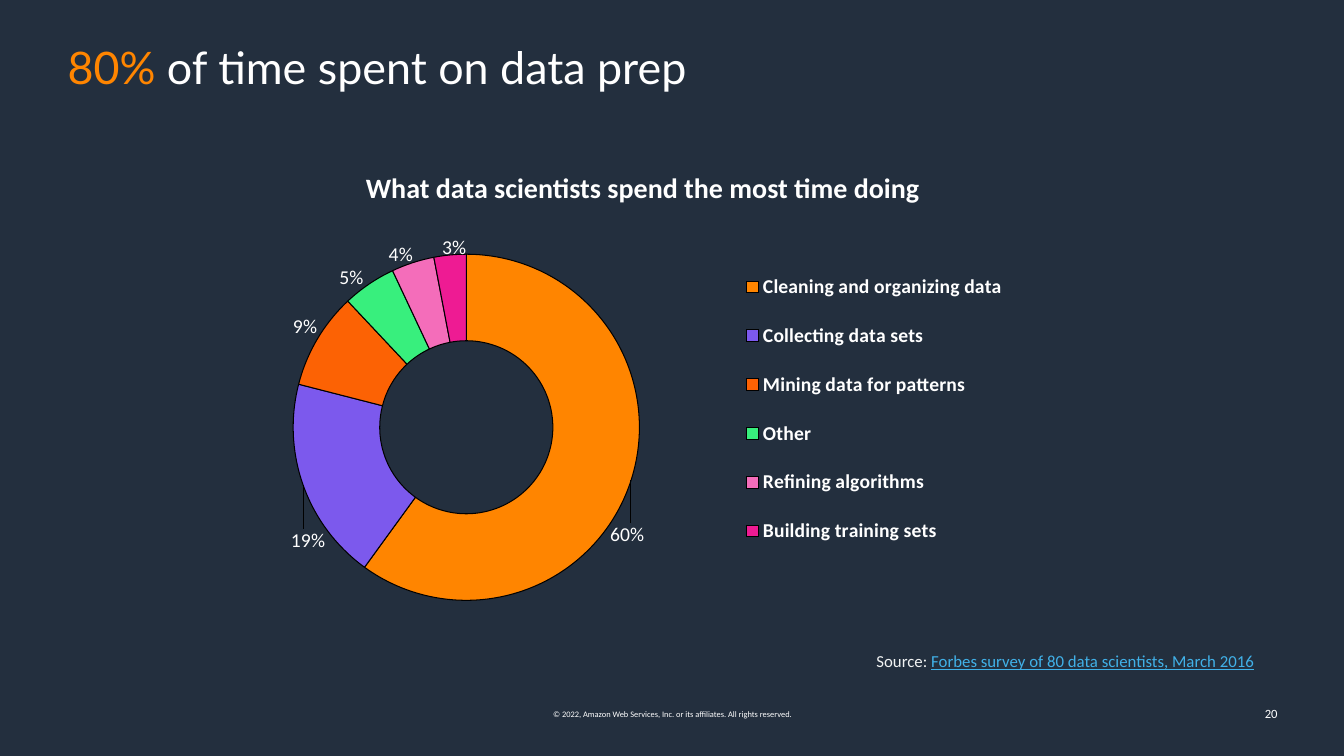
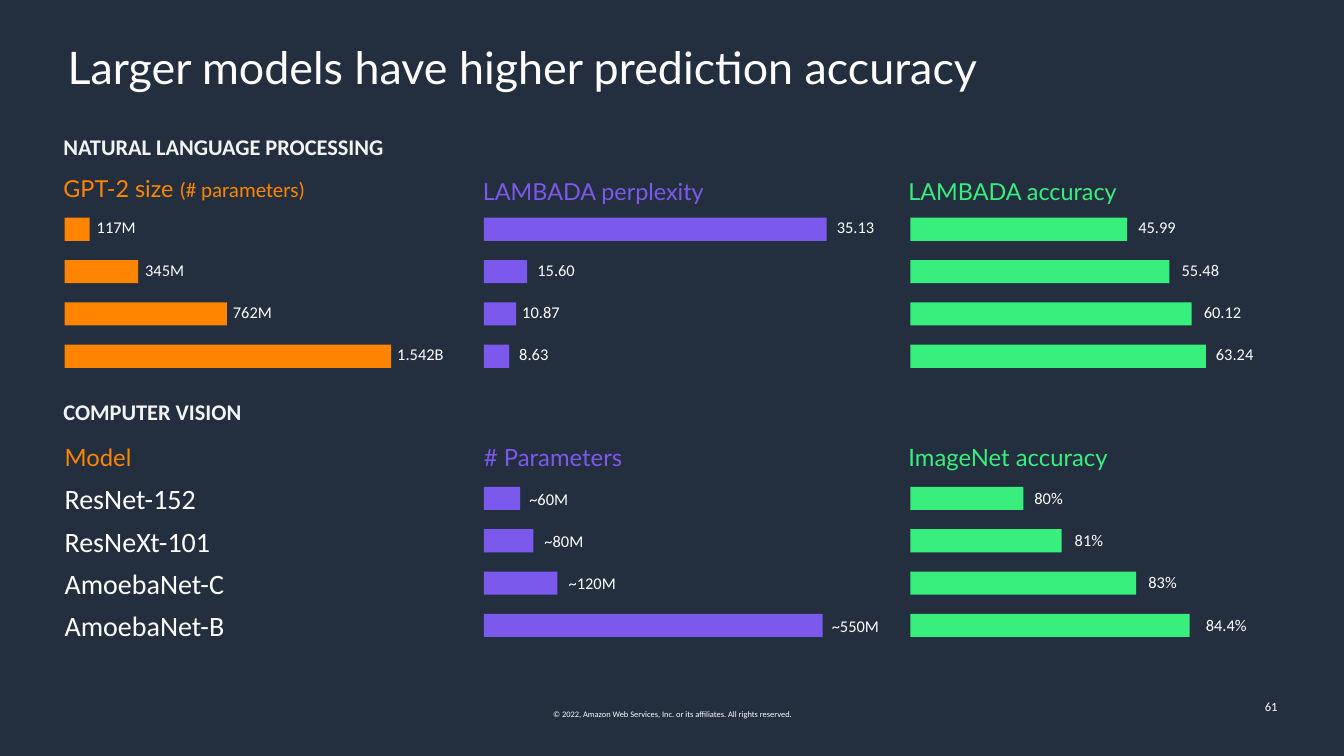
import math
from itertools import accumulate

from lxml import etree
from pptx import Presentation
from pptx.chart.data import CategoryChartData
from pptx.dml.color import RGBColor
from pptx.enum import chart as charts, shapes, text
from pptx.util import Inches, Pt

# Shared look
NAVY, WHITE, PALE = "232F3E", "FFFFFF", "F2F4F4"
ORANGE, PURPLE, GREEN, LINK = "FF8500", "7C59ED", "38EF7D", "41B1E8"
BODY, HEAD = "Calibri", "Lato"
LEFT, CENTER, RIGHT = text.PP_ALIGN.LEFT, text.PP_ALIGN.CENTER, text.PP_ALIGN.RIGHT
TOP, MIDDLE = text.MSO_ANCHOR.TOP, text.MSO_ANCHOR.MIDDLE
COPYRIGHT = "© 2022, Amazon Web Services, Inc. or its affiliates. All rights reserved."

TITLE = {"size": 32, "name": HEAD, "color": WHITE}
SECTION = {"size": 16, "color": PALE, "bold": True}
LABEL = {"size": 11.7, "color": WHITE}
SOURCE = {"size": 12, "color": "F1F3F3"}

# Slide 1 content: category, percent, colour, centre of its label in inches
TASKS = [
    ("Cleaning and organizing data", 60, ORANGE, (6.23, 5.31)),
    ("Collecting data sets", 19, PURPLE, (3.06, 5.37)),
    ("Mining data for patterns", 9, "FC6204", (3.03, 3.24)),
    ("Other", 5, GREEN, (3.49, 2.75)),
    ("Refining algorithms", 4, "F46DBA", (3.98, 2.53)),
    ("Building training sets", 3, "EE1B93", (4.51, 2.46)),
]
CHART_BOX = (2.58, 2.24, 8.18, 4.04)
PLOT_LAYOUT = {"x": 0.04, "y": 0.07, "w": 0.42, "h": 0.85}
LEGEND_LAYOUT = {"x": 0.58, "y": 0.06, "w": 0.33, "h": 0.78}
RING_CENTER, RING_MIDDLE = (4.63, 4.24), 1.29

# Slide 2 content
SECTIONS = [("NATURAL LANGUAGE PROCESSING", 1.3), ("COMPUTER VISION", 3.93)]
HEADINGS = [
    (0.46, 0.9, [("GPT-2 size ", ORANGE, HEAD, 16.7),
                 ("(# parameters)", ORANGE, BODY, 15)]),
    (4.62, 1, [("LAMBADA perplexity", PURPLE, HEAD, 16.7)]),
    (8.84, 1, [("LAMBADA accuracy", GREEN, HEAD, 16.7)]),
]
MODEL_HEADER = [("Model", ORANGE), ("# Parameters", PURPLE), ("ImageNet accuracy", GREEN)]
MODELS = ["ResNet-152", "ResNeXt-101", "AmoebaNet-C", "AmoebaNet-B"]
TABLE_COLUMNS = [4.16, 4.21, 4.03]
TABLE_ROWS = [0.4] + [0.42] * len(MODELS)

# Bar groups: left, top, colour, label drop, bars as (label, length, gap to label)
BAR_GROUPS = [
    (0.64, 2.16, ORANGE, 0.02, [("117M", 0.25, 0.07), ("345M", 0.73, 0.07),
                                ("762M", 1.61, 0.06), ("1.542B", 3.24, 0.06)]),
    (4.8, 2.16, PURPLE, 0.02, [("35.13", 3.4, 0.1), ("15.60", 0.43, 0.1),
                               ("10.87", 0.32, 0.06), ("8.63", 0.25, 0.1)]),
    (9.03, 2.16, GREEN, 0.02, [("45.99", 2.15, 0.11), ("55.48", 2.57, 0.12),
                               ("60.12", 2.79, 0.12), ("63.24", 2.93, 0.1)]),
    (4.8, 4.83, PURPLE, 0.04, [("~60M", 0.36, 0.09), ("~80M", 0.49, 0.11),
                               ("~120M", 0.73, 0.11), ("~550M", 3.36, 0.09)]),
    (9.03, 4.83, GREEN, 0.03, [("80%", 1.12, 0.11), ("81%", 1.5, 0.13),
                               ("83%", 2.24, 0.12), ("84.4%", 2.77, 0.16)]),
]
BAR_STEP, BAR_HEIGHT = 0.42, 0.23


def rgb(color):
    return RGBColor.from_string(color)


def set_font(font, style):
    for name, value in {"name": BODY, **style}.items():
        if name == "color":
            font.color.rgb = rgb(value)
        else:
            setattr(font, name, Pt(value) if name == "size" else value)


def fill_frame(frame, runs, margins, anchor=TOP, align=LEFT, spacing=1):
    """Write one paragraph of (text, style) runs."""
    frame.word_wrap = True
    frame.vertical_anchor = anchor
    for side, margin in zip(("left", "top", "right", "bottom"), margins):
        setattr(frame, f"margin_{side}", Inches(margin))
    paragraph = frame.paragraphs[0]
    paragraph.alignment, paragraph.line_spacing = align, spacing
    for words, style in runs:
        run = paragraph.add_run()
        run.text = words
        set_font(run.font, style)


def add_text(slide, box, runs, margins=(0.1, 0.05, 0.1, 0.05), **layout):
    shape = slide.shapes.add_textbox(*map(Inches, box))
    fill_frame(shape.text_frame, runs, margins, **layout)


def add_slide(presentation, title, number, number_anchor):
    """Start a slide with background, title, copyright line and number."""
    slide = presentation.slides.add_slide(presentation.slide_layouts[6])
    fill = slide.background.fill
    fill.solid()
    fill.fore_color.rgb = rgb(NAVY)
    add_text(slide, (0.67, 0.4, 12, 0.59), title, (0, 0.05, 0, 0.05), spacing=0.9)
    add_text(slide, (5.25, 6.99, 2.84, 0.2),
             [(COPYRIGHT, {"size": 6, "color": WHITE})], align=CENTER)
    add_text(slide, (9.77, 6.88, 3, 0.4), [(number, {"size": 9, "color": WHITE})],
             align=RIGHT, anchor=number_anchor)
    return slide


# Chart layout parts that need XML
def add_chart_tag(parent, tag, value=None):
    namespace = "http://schemas.openxmlformats.org/drawingml/2006/chart"
    element = etree.SubElement(parent, f"{{{namespace}}}{tag}")
    if value is not None:
        element.set("val", str(value))
    return element


def set_layout(parent, position, values, inner=False):
    for old in parent.xpath("c:layout"):
        parent.remove(old)
    layout = add_chart_tag(parent, "layout")
    manual = add_chart_tag(layout, "manualLayout")
    if inner:
        add_chart_tag(manual, "layoutTarget", "inner")
    for axis in "xy":
        add_chart_tag(manual, f"{axis}Mode", "edge")
    for name, value in values.items():
        add_chart_tag(manual, name, value)
    parent.insert(position, layout)


def place_labels(labels):
    """Shift each label from the middle of its ring segment to its own place."""
    values = [task[1] for task in TASKS]
    for index, (end, task) in enumerate(zip(accumulate(values), TASKS)):
        angle = math.tau * (end - task[1] / 2) / sum(values)
        start = (RING_CENTER[0] + RING_MIDDLE * math.sin(angle),
                 RING_CENTER[1] - RING_MIDDLE * math.cos(angle))
        label = add_chart_tag(labels, "dLbl")
        add_chart_tag(label, "idx", index)
        manual = add_chart_tag(add_chart_tag(label, "layout"), "manualLayout")
        for axis, goal, origin, extent in zip("xy", task[3], start, CHART_BOX[2:]):
            add_chart_tag(manual, axis, round((goal - origin) / extent, 4))
        for part in ("LegendKey", "Val", "CatName", "SerName", "Percent", "BubbleSize"):
            add_chart_tag(label, f"show{part}", int(part == "Percent"))
        labels.insert(index, label)


def add_doughnut(slide):
    data = CategoryChartData()
    data.categories = [task[0] for task in TASKS]
    data.add_series("Series 1", [task[1] for task in TASKS])
    chart = slide.shapes.add_chart(
        charts.XL_CHART_TYPE.DOUGHNUT, *map(Inches, CHART_BOX), data).chart
    set_font(chart.font, {"size": 10, "color": WHITE})
    chart.has_title = False
    chart.has_legend = True
    legend = chart.legend
    legend.position = charts.XL_LEGEND_POSITION.RIGHT
    legend.include_in_layout = False
    set_font(legend.font, {"size": 14, "color": WHITE, "bold": True})
    set_layout(legend._element, 1, LEGEND_LAYOUT)

    plot = chart.plots[0]
    plot.vary_by_categories = True
    set_layout(plot._element.getparent(), 0, PLOT_LAYOUT, inner=True)
    for hole in plot._element.xpath("c:holeSize"):
        hole.set("val", "57")
    series = plot.series[0]
    for index, task in enumerate(TASKS):
        style = series.points[index].format
        style.fill.solid()
        style.fill.fore_color.rgb = rgb(task[2])
        style.line.color.rgb = rgb("000000")
        style.line.width = Pt(0.75)
    labels = series.data_labels
    labels.show_value, labels.show_percentage = False, True
    labels.number_format, labels.number_format_is_linked = "0%", False
    set_font(labels.font, {"size": 14, "color": WHITE})
    place_labels(labels._element)


def add_model_table(slide):
    frame = slide.shapes.add_table(
        len(TABLE_ROWS), len(TABLE_COLUMNS), Inches(0.64), Inches(4.35),
        Inches(sum(TABLE_COLUMNS)), Inches(sum(TABLE_ROWS)))
    table = frame.table
    table.first_row = table.horz_banding = False
    # Style without fills or grid lines
    for style in table._tbl.xpath(".//a:tableStyleId"):
        style.text = "{2D5ABB26-0587-4C30-8999-92F81FD0307C}"
    for column, width in zip(table.columns, TABLE_COLUMNS):
        column.width = Inches(width)
    for row, height in zip(table.rows, TABLE_ROWS):
        row.height = Inches(height)
    for cell in table.iter_cells():
        cell.fill.background()

    def write(row, column, words, style, bottom):
        cell = table.cell(row, column)
        cell.vertical_anchor = MIDDLE
        for side, margin in zip(("left", "top", "right", "bottom"),
                                (0, 0.04, 0.08, bottom)):
            setattr(cell, f"margin_{side}", Inches(margin))
        run = cell.text_frame.paragraphs[0].add_run()
        run.text = words
        set_font(run.font, style)

    for column, (words, color) in enumerate(MODEL_HEADER):
        write(0, column, words, {"size": 17, "name": HEAD, "color": color}, 0.08)
    for row, model in enumerate(MODELS, 1):
        write(row, 0, model, {"size": 20, "color": WHITE}, 0.04)


def add_bars(slide, left, top, color, drop, bars):
    for index, (label, length, gap) in enumerate(bars):
        y = top + index * BAR_STEP
        bar = slide.shapes.add_shape(
            shapes.MSO_SHAPE.RECTANGLE,
            *map(Inches, (left, y, length, BAR_HEIGHT)))
        bar.shadow.inherit = False
        bar.fill.solid()
        bar.fill.fore_color.rgb = rgb(color)
        bar.line.fill.background()
        add_text(slide, (left + length + gap, y + drop, 0.8, 0.18),
                 [(label, LABEL)], (0, 0, 0, 0), spacing=0.9)


def build_time_slide(presentation):
    title = [("80% ", {**TITLE, "color": ORANGE}), ("of time spent on data prep", TITLE)]
    slide = add_slide(presentation, title, "20", MIDDLE)
    add_doughnut(slide)
    add_text(slide, (2.58, 1.64, 7.59, 0.44),
             [("What data scientists spend the most time doing",
               {"size": 20, "color": WHITE, "bold": True})], align=CENTER)
    add_text(slide, (2.87, 6.41, 9.67, 0.3),
             [("Source: ", SOURCE),
              ("Forbes survey of 80 data scientists, March 2016",
               {**SOURCE, "color": LINK, "underline": True})], align=RIGHT)


def build_accuracy_slide(presentation):
    title = [("Larger models have higher prediction accuracy", TITLE)]
    slide = add_slide(presentation, title, "61", TOP)
    for words, top in SECTIONS:
        add_text(slide, (0.46, top, 9.6, 0.34), [(words, SECTION)],
                 (0.17, 0.05, 0.1, 0.05), spacing=0.9)
    for left, spacing, parts in HEADINGS:
        runs = [(words, {"size": size, "name": font, "color": color})
                for words, color, font, size in parts]
        add_text(slide, (left, 1.63, 3.2, 0.55), runs,
                 (0.17, 0.13, 0.17, 0.13), spacing=spacing)
    add_model_table(slide)
    for group in BAR_GROUPS:
        add_bars(slide, *group)


def main():
    presentation = Presentation()
    presentation.slide_width, presentation.slide_height = Inches(13.33), Inches(7.5)
    build_time_slide(presentation)
    build_accuracy_slide(presentation)
    presentation.save("out.pptx")


if __name__ == "__main__":
    main()
